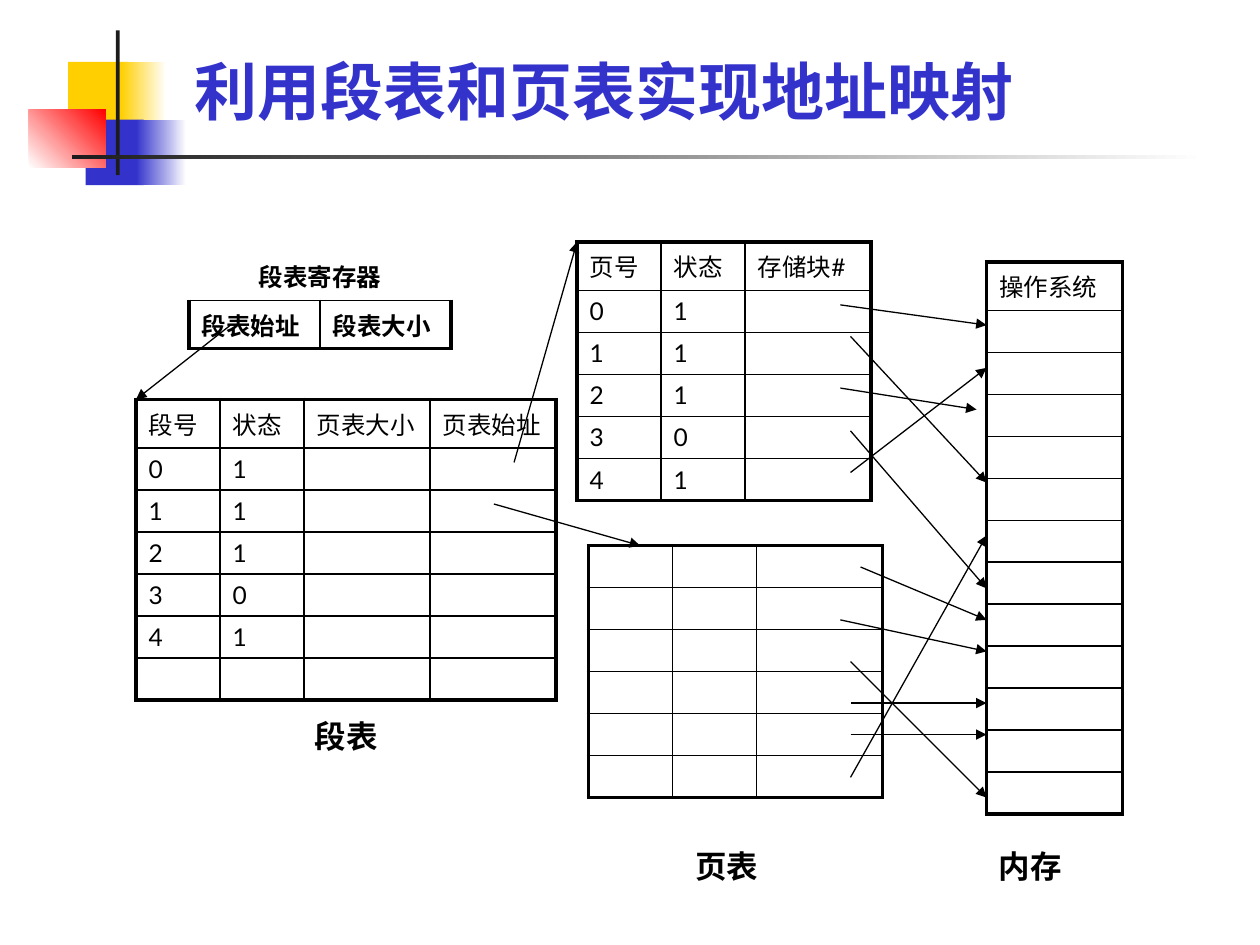
from dataclasses import dataclass

from lxml import etree
from pptx import Presentation
from pptx.dml.color import RGBColor
from pptx.enum.shapes import MSO_CONNECTOR, MSO_SHAPE
from pptx.enum.text import MSO_ANCHOR, MSO_AUTO_SIZE, PP_ALIGN
from pptx.oxml.ns import qn
from pptx.util import Inches, Pt

RECTANGLE = MSO_SHAPE.RECTANGLE
STRAIGHT = MSO_CONNECTOR.STRAIGHT
BOTTOM = MSO_ANCHOR.BOTTOM
NO_AUTOFIT = MSO_AUTO_SIZE.NONE
LEFT, CENTER = PP_ALIGN.LEFT, PP_ALIGN.CENTER

BLACK = RGBColor(0x00, 0x00, 0x00)
WHITE = RGBColor(0xFF, 0xFF, 0xFF)
CHARCOAL = RGBColor(0x1C, 0x1C, 0x1C)
YELLOW = RGBColor(0xFF, 0xCF, 0x01)
BLUE = RGBColor(0x33, 0x33, 0xCC)
RED = RGBColor(0xFF, 0x00, 0x00)

LATO, NOTO = "Lato", "Noto Sans CJK SC"
THICK, THIN, NO_LINE = 2.25, 1, 0
HEADER_HEIGHT, ROW_HEIGHT = 0.38, 1 / 3
NARROW = 2 / 3


@dataclass
class Block:
    left: float
    top: float
    width: float
    height: float
    color: RGBColor
    end_color: RGBColor | None = None
    angle: float = 0


@dataclass
class Grid:
    left: float
    top: float
    columns: list[float]
    rows: list[list[str]]
    bold: bool = False
    caption: bool = False


@dataclass
class Label:
    left: float
    top: float
    width: float
    text: str
    font: str


def format_text(para, size: int, color: RGBColor, bold: bool, font: str) -> None:
    for span in para.runs:
        span.font.size = Pt(size)
        span.font.bold = bold
        span.font.name = font
        span.font.color.rgb = color


def draw_block(page, block: Block) -> None:
    shape = page.shapes.add_shape(RECTANGLE, Inches(block.left), Inches(block.top),
                                  Inches(block.width), Inches(block.height))
    shape.shadow.inherit = False
    shape.line.fill.background()
    if block.end_color is None:
        shape.fill.solid()
        shape.fill.fore_color.rgb = block.color
        return
    shape.fill.gradient()
    shape.fill.gradient_angle = block.angle
    for stop, color in zip(shape.fill.gradient_stops, (block.color, block.end_color)):
        stop.color.rgb = color


def set_borders(cell, widths: tuple[float, ...]) -> None:
    """Set the left, right, top and bottom border widths in points."""
    properties = cell._tc.get_or_add_tcPr()
    for index, (side, width) in enumerate(zip("LRTB", widths)):
        border = etree.Element(qn(f"a:ln{side}"), w=str(Pt(width)))
        if width == NO_LINE:
            etree.SubElement(border, qn("a:noFill"))
        else:
            fill = etree.SubElement(border, qn("a:solidFill"))
            etree.SubElement(fill, qn("a:srgbClr"), val=str(BLACK))
        properties.insert(index, border)


def draw_grid(page, grid: Grid) -> None:
    row_count, column_count = len(grid.rows), len(grid.columns)
    # Rows with Chinese text are taller than rows of digits
    heights = [HEADER_HEIGHT if any(len(text) > 1 for text in row) else ROW_HEIGHT
               for row in grid.rows]
    table = page.shapes.add_table(row_count, column_count, Inches(grid.left), Inches(grid.top),
                                  Inches(sum(grid.columns)), Inches(sum(heights))).table
    table.first_row = table.horz_banding = False
    for column, width in zip(table.columns, grid.columns):
        column.width = Inches(width)
    for row, height in zip(table.rows, heights):
        row.height = Inches(height)
    for r, texts in enumerate(grid.rows):
        is_caption = grid.caption and r == 0
        for c, text in enumerate(texts):
            cell = table.cell(r, c)
            cell.fill.background()
            if text:
                cell.text_frame.text = text
                para = cell.text_frame.paragraphs[0]
                para.alignment = CENTER if is_caption else LEFT
                format_text(para, 14, BLACK, grid.bold, LATO)
            else:
                cell.margin_top = cell.margin_bottom = 0
            if is_caption:
                set_borders(cell, (NO_LINE, NO_LINE, NO_LINE, THIN))
            else:
                set_borders(cell, (THICK if c == 0 else THIN,
                                   THICK if c == column_count - 1 else THIN,
                                   THICK if r == 0 else THIN,
                                   THICK if r == row_count - 1 else THIN))
    if grid.caption:
        table.cell(0, 0).merge(table.cell(0, column_count - 1))


def draw_arrow(page, x1: float, y1: float, x2: float, y2: float) -> None:
    arrow = page.shapes.add_connector(STRAIGHT, Inches(x1), Inches(y1), Inches(x2), Inches(y2))
    arrow.line.width = Pt(0.75)
    arrow.line.color.rgb = BLACK
    etree.SubElement(arrow.line._get_or_add_ln(), qn("a:tailEnd"), type="triangle")
    etree.SubElement(arrow._element.spPr, qn("a:effectLst"))


def draw_label(page, label: Label) -> None:
    box = page.shapes.add_textbox(Inches(label.left), Inches(label.top),
                                  Inches(label.width), Inches(0.4))
    box.text_frame.word_wrap = True
    box.text_frame.text = label.text
    format_text(box.text_frame.paragraphs[0], 18, BLACK, True, label.font)


def draw_title(page, text: str) -> None:
    title = page.shapes.title
    title.left, title.top = Inches(1.44), Inches(0.31)
    title.width, title.height = Inches(7.42), Inches(0.76)
    frame = title.text_frame
    frame.text = text
    frame.auto_size = NO_AUTOFIT
    frame.vertical_anchor = BOTTOM
    frame.paragraphs[0].alignment = LEFT
    format_text(frame.paragraphs[0], 36, BLUE, True, LATO)


BLOCKS = [
    Block(0.54, 0.49, 0.48, 0.52, YELLOW),
    Block(0.96, 0.49, 0.36, 0.52, YELLOW, WHITE),
    Block(0.68, 0.95, 0.46, 0.52, BLUE),
    Block(1.08, 0.95, 0.4, 0.52, BLUE, WHITE),
    Block(0.23, 0.87, 0.61, 0.46, WHITE, RED, 45),
    Block(0.92, 0.24, 0.03, 1.15, CHARCOAL),
    Block(0.57, 1.23, 9, 0.03, CHARCOAL, WHITE),
]
ENTRIES = [("0", "1"), ("1", "1"), ("2", "1"), ("3", "0"), ("4", "1")]
PAGE_COLUMNS = [NARROW, NARROW, 1]
GRIDS = [
    # Segment table register
    Grid(1.5, 2, [1.04, 1.04], [["段表寄存器", ""], ["段表始址", "段表大小"]],
         bold=True, caption=True),
    # Segment table
    Grid(1.08, 3.17, [NARROW, NARROW, 1, 1],
         [["段号", "状态", "页表大小", "页表始址"],
          *([number, state, "", ""] for number, state in ENTRIES), [""] * 4]),
    # Page tables
    Grid(4.58, 1.92, PAGE_COLUMNS,
         [["页号", "状态", "存储块#"], *([number, state, ""] for number, state in ENTRIES)]),
    Grid(4.67, 4.33, PAGE_COLUMNS, [[""] * 3] * 6),
    # Memory
    Grid(7.83, 2.08, [1.08], [["操作系统"]] + [[""]] * 12),
]
MEMORY = 7.83
ARROWS = [
    # Register to segment table, segment table to page tables
    (1.83, 2.58, 1.08, 3.17), (4.08, 3.67, 4.58, 1.92), (3.92, 4, 5.08, 4.33),
    # First page table to memory
    (6.67, 2.42, MEMORY, 2.58), (6.75, 2.67, MEMORY, 3.83), (6.67, 3.08, 7.75, 3.25),
    (6.75, 3.42, MEMORY, 4.67), (6.75, 3.75, MEMORY, 2.92),
    # Second page table to memory
    (6.83, 4.5, MEMORY, 4.92), (6.67, 4.92, MEMORY, 5.17), (6.75, 5.25, MEMORY, 6.33),
    (6.75, 5.58, MEMORY, 5.58), (6.75, 5.83, MEMORY, 5.83), (6.75, 6.17, MEMORY, 4.25),
]
LABELS = [
    Label(2.4, 5.64, 1.31, "段表", NOTO),
    Label(5.42, 6.67, 1, "页表", NOTO),
    Label(MEMORY, 6.67, 1, "内存", LATO),
]


def main() -> None:
    deck = Presentation()
    deck.slide_width, deck.slide_height = Inches(10), Inches(7.5)
    page = deck.slides.add_slide(deck.slide_layouts[5])
    draw_title(page, "利用段表和页表实现地址映射")
    for block in BLOCKS:
        draw_block(page, block)
    for grid in GRIDS:
        draw_grid(page, grid)
    for arrow in ARROWS:
        draw_arrow(page, *arrow)
    for label in LABELS:
        draw_label(page, label)
    deck.save("out.pptx")


if __name__ == "__main__":
    main()
